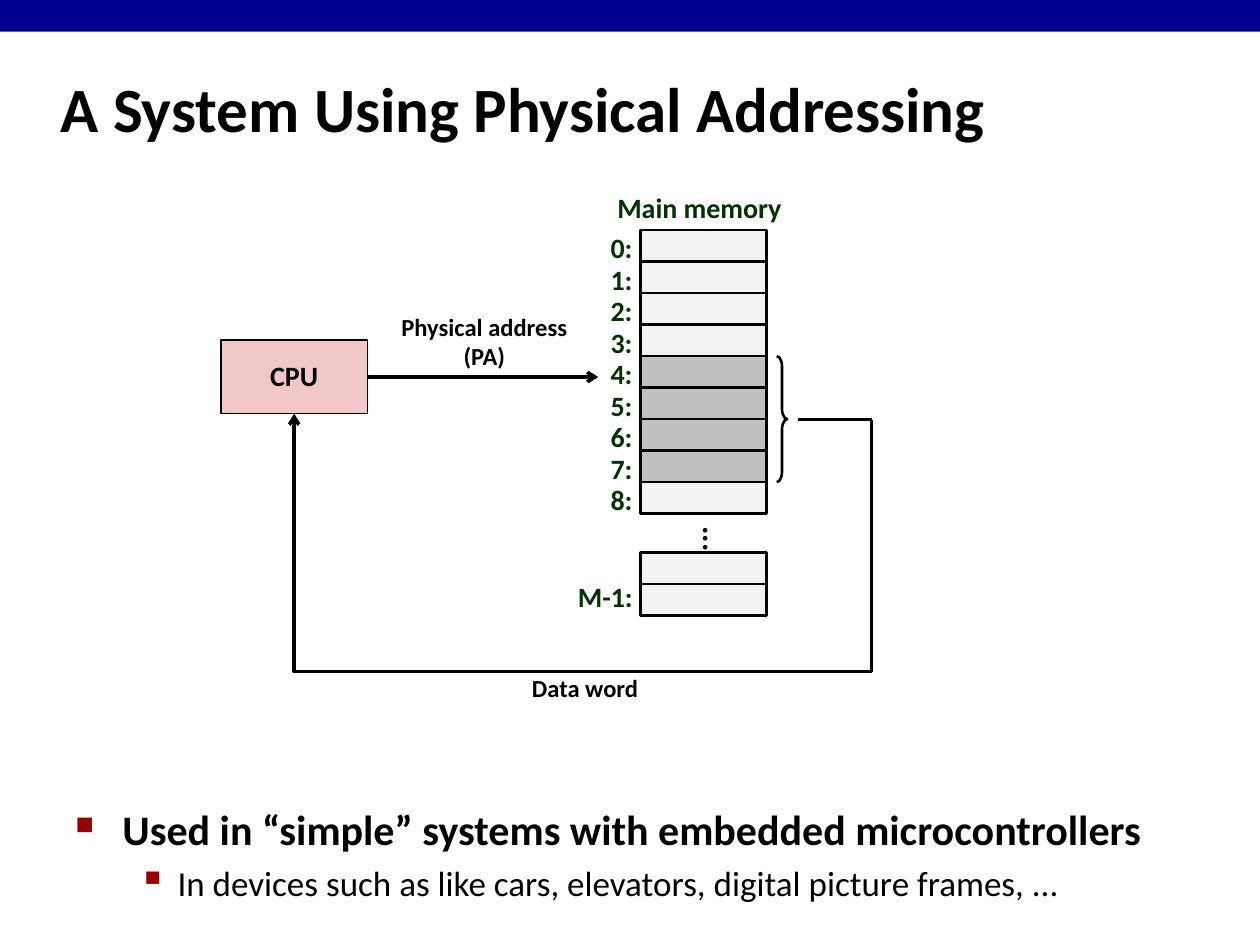
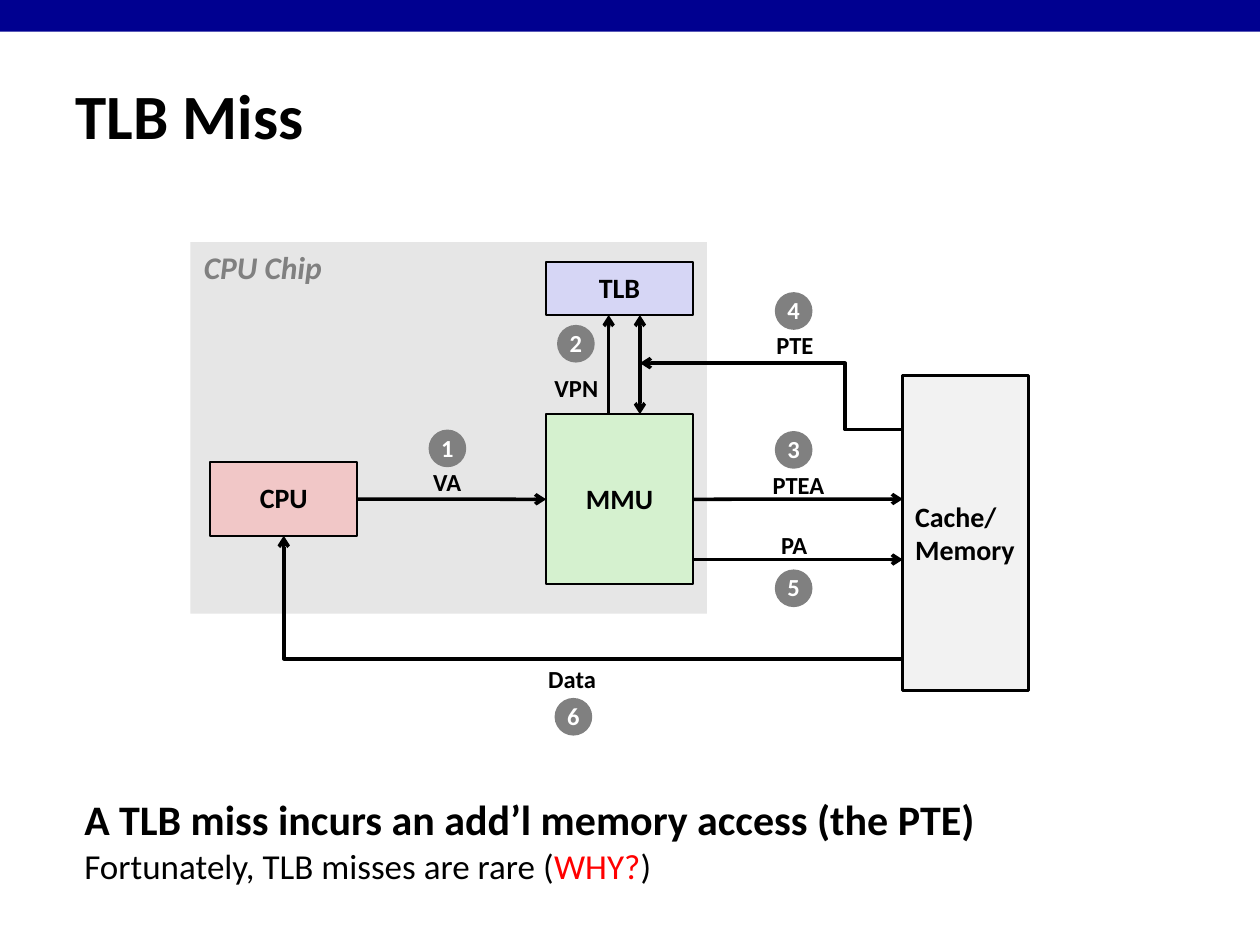
from dataclasses import dataclass
from typing import Any, Optional

from lxml import etree
from pptx import Presentation
from pptx.dml.color import RGBColor
from pptx.enum.shapes import MSO_CONNECTOR, MSO_SHAPE
from pptx.enum.text import MSO_ANCHOR, MSO_AUTO_SIZE, PP_ALIGN
from pptx.oxml.ns import qn
from pptx.util import Cm, Pt

RECT, OVAL, BRACE = MSO_SHAPE.RECTANGLE, MSO_SHAPE.OVAL, MSO_SHAPE.RIGHT_BRACE
STRAIGHT, ELBOW = MSO_CONNECTOR.STRAIGHT, MSO_CONNECTOR.ELBOW
LEFT, CENTER = PP_ALIGN.LEFT, PP_ALIGN.CENTER
TOP, MIDDLE = MSO_ANCHOR.TOP, MSO_ANCHOR.MIDDLE
FIT, FIXED = MSO_AUTO_SIZE.SHAPE_TO_FIT_TEXT, MSO_AUTO_SIZE.NONE
SIDE_LEFT, SIDE_RIGHT = 1, 3
TITLE_ONLY = 5

COLORS = {
    "band": "000090", "ink": "000000", "paper": "FFFFFF", "memory": "003300",
    "bullet": "990000", "cpu": "F1C7C7", "mmu": "D5F1CF", "tlb": "D6D6F5",
    "cell": "F2F2F2", "word": "C0C0C0", "chip": "E6E6E6", "step": "808080",
    "question": "FF0000",
}
FONT = "Calibri"
TITLE_FRAME = {"vertical_anchor": MIDDLE, "auto_size": FIXED, "word_wrap": True}
BODY_FRAME = {"vertical_anchor": TOP, "auto_size": FIXED, "word_wrap": True}
CELL_W, CELL_H = 2.54, 2.54 / 4
LABEL_H, STEP_SIZE = 0.84, 0.76
CPU_W, CPU_H = 2.96, 1.48


@dataclass(frozen=True)
class Box:
    left: float
    top: float
    width: float
    height: float
    fill: Optional[str] = None
    line: Optional[float] = None
    text: str = ""
    shape: Any = RECT
    size: int = 16
    color: str = "ink"
    spacing: float = 0.98
    align: Any = CENTER


@dataclass(frozen=True)
class Label:
    text: str
    left: float
    top: float
    width: float
    height: float = LABEL_H
    size: int = 14
    color: str = "ink"
    spacing: float = 0.98
    align: Any = CENTER
    anchor: Any = MIDDLE
    italic: bool = False
    vertical: bool = False


@dataclass(frozen=True)
class Arrow:
    x1: float
    y1: float
    x2: float
    y2: float
    head: bool = False
    tail: bool = True


def rgb(name: str) -> RGBColor:
    return RGBColor.from_string(COLORS[name])


def apply(target: Any, values: dict) -> None:
    for key, value in values.items():
        setattr(target, key, value)


def style(font: Any, size: int, color: str = "ink", bold: bool = True,
          italic: bool = False) -> None:
    apply(font, {"name": FONT, "size": Pt(size), "bold": bold, "italic": italic})
    font.color.rgb = rgb(color)


def place(shape: Any, left: float, top: float, width: float, height: float) -> None:
    apply(shape, {"left": Cm(left), "top": Cm(top),
                  "width": Cm(width), "height": Cm(height)})


def write(frame: Any, item: Any, values: dict) -> None:
    apply(frame, values)
    frame.text = item.text
    for paragraph in frame.paragraphs:
        apply(paragraph, {"alignment": item.align, "line_spacing": item.spacing})
        for run in paragraph.runs:
            style(run.font, item.size, item.color, italic=getattr(item, "italic", False))


def draw_box(slide: Any, box: Box) -> Any:
    shape = slide.shapes.add_shape(box.shape, Cm(box.left), Cm(box.top),
                                   Cm(box.width), Cm(box.height))
    shape.shadow.inherit = False
    if box.fill:
        shape.fill.solid()
        shape.fill.fore_color.rgb = rgb(box.fill)
    else:
        shape.fill.background()
    if box.line:
        shape.line.color.rgb = rgb("ink")
        shape.line.width = Pt(box.line)
    else:
        shape.line.fill.background()
    if box.text:
        write(shape.text_frame, box, {"vertical_anchor": MIDDLE, "word_wrap": False})
    return shape


def draw_label(slide: Any, label: Label) -> None:
    area = slide.shapes.add_textbox(Cm(label.left), Cm(label.top),
                                    Cm(label.width), Cm(label.height))
    fit = FIXED if label.vertical else FIT
    write(area.text_frame, label, {"vertical_anchor": label.anchor,
                                   "word_wrap": False, "auto_size": fit})
    if label.vertical:
        area.element.find(".//" + qn("a:bodyPr")).set("vert", "eaVert")


def finish_line(connector: Any, head: bool, tail: bool) -> None:
    connector.line.color.rgb = rgb("ink")
    connector.line.width = Pt(2)
    properties = connector.element.spPr
    outline = properties.find(qn("a:ln"))
    for tag, wanted in (("a:headEnd", head), ("a:tailEnd", tail)):
        if wanted:
            etree.SubElement(outline, qn(tag), type="arrow")
    etree.SubElement(properties, qn("a:effectLst"))


def draw_arrow(slide: Any, arrow: Arrow, start: Any = None, end: Any = None) -> None:
    connector = slide.shapes.add_connector(STRAIGHT, Cm(arrow.x1), Cm(arrow.y1),
                                           Cm(arrow.x2), Cm(arrow.y2))
    if start is not None:
        connector.begin_connect(start, SIDE_RIGHT)
    if end is not None:
        connector.end_connect(end, SIDE_LEFT)
    finish_line(connector, arrow.head, arrow.tail)


def draw_return(slide: Any, left: float, top: float, right: float, bottom: float,
                bend: float = 1) -> None:
    connector = slide.shapes.add_connector(ELBOW, Cm(left), Cm(top),
                                           Cm(right), Cm(bottom))
    properties = connector.element.spPr
    properties.find(qn("a:xfrm")).set("rot", "10800000")
    guides = properties.find(".//" + qn("a:avLst"))
    etree.SubElement(guides, qn("a:gd"), name="adj1", fmla=f"val {round(bend * 100000)}")
    finish_line(connector, head=False, tail=True)


def add_bullet(paragraph: Any, char: str, percent: int, margin: float, hang: float) -> None:
    paragraph.alignment = LEFT
    properties = paragraph.font and paragraph._p.get_or_add_pPr()
    for old in list(properties):
        properties.remove(old)
    apply_indent = {"marL": Cm(margin), "indent": -Cm(hang)}
    for key, value in apply_indent.items():
        properties.set(key, str(int(value)))
    tint = etree.SubElement(properties, qn("a:buClr"))
    etree.SubElement(tint, qn("a:srgbClr"), val=COLORS["bullet"])
    etree.SubElement(properties, qn("a:buSzPct"), val=str(percent * 1000))
    etree.SubElement(properties, qn("a:buChar"), char=char)


def add_titled_slide(prs: Any, title: str, left: float, top: float, width: float) -> Any:
    slide = prs.slides.add_slide(prs.slide_layouts[TITLE_ONLY])
    heading = slide.shapes.title
    place(heading, left, top, width, 2.18)
    apply(heading.text_frame, TITLE_FRAME)
    heading.text_frame.text = title
    paragraph = heading.text_frame.paragraphs[0]
    paragraph.alignment = LEFT
    style(paragraph.runs[0].font, 36)
    return slide


def add_body(slide: Any, left: float, top: float, width: float, height: float) -> Any:
    body = slide.shapes.add_textbox(Cm(left), Cm(top), Cm(width), Cm(height))
    apply(body.text_frame, BODY_FRAME)
    return body.text_frame


def add_run(paragraph: Any, text: str, size: int, color: str = "ink",
            bold: bool = False) -> None:
    run = paragraph.add_run()
    run.text = text
    style(run.font, size, color, bold)


def build_physical_addressing(prs: Any) -> Any:
    slide = add_titled_slide(prs, "A System Using Physical Addressing", 0.97, 1.07, 24.21)
    memory_left, memory_top, lower_top = 12.91, 4.64, 11.14
    word_rows = range(4, 8)
    for row in range(9):
        top = memory_top + row * CELL_H
        fill = "word" if row in word_rows else "cell"
        draw_box(slide, Box(memory_left, top, CELL_W, CELL_H, fill, 1.5))
        draw_label(slide, Label(f"{row}:", 12.06, top - 0.02, 0.94, size=16,
                                color="memory", spacing=0.88, align=LEFT, anchor=TOP))
    for row in range(2):
        draw_box(slide, Box(memory_left, lower_top + row * CELL_H, CELL_W, CELL_H,
                            "cell", 1.5))
    cpu = draw_box(slide, Box(4.45, 6.86, CPU_W, CPU_H, "cpu", 1, "CPU"))
    brace = draw_box(slide, Box(15.66, memory_top + 4 * CELL_H, 0.21, 4 * CELL_H,
                                line=1.5, shape=BRACE))
    brace.adjustments[0], brace.adjustments[1] = 1, 0.5
    for label in (
        Label("M-1:", 11.4, 11.64, 1.63, size=16, color="memory", spacing=0.88,
              align=LEFT, anchor=TOP),
        Label("Main memory", 12.17, 3.81, 3.86, size=16, color="memory",
              spacing=0.88, anchor=TOP),
        Label("Physical address\n(PA)", 7.82, 6.17, 3.89, 1.45),
        Label("Data word", 10.46, 13.46, 2.67),
        Label("...", 13.13, 10.36, CELL_W, CELL_H, size=18, vertical=True),
    ):
        draw_label(slide, label)
    draw_arrow(slide, Arrow(7.41, 7.6, 12.06, 7.6), start=cpu)
    draw_arrow(slide, Arrow(16.08, 8.46, 17.57, 8.46, tail=False))
    draw_arrow(slide, Arrow(17.57, 8.46, 17.57, 13.54, tail=False))
    draw_return(slide, 5.93, 8.34, 17.57, 13.54)

    body = add_body(slide, 1.27, 16.08, 23.09, 2.44)
    use, devices = body.paragraphs[0], body.add_paragraph()
    add_bullet(use, "■", 60, 0.95, 0.95)
    add_bullet(devices, "▪", 110, 2.06, 0.79)
    devices.space_before = Pt(4)
    add_run(use, "Used in “simple” systems with embedded microcontrollers", 24, bold=True)
    add_run(devices, "In devices such as like cars, elevators, digital picture frames, ...", 20)
    return slide


def build_tlb_miss(prs: Any) -> None:
    slide = add_titled_slide(prs, "TLB Miss", 1.27, 1.22, 23.5)
    draw_box(slide, Box(3.84, 4.88, 10.41, 7.49, "chip"))
    mmu = draw_box(slide, Box(11.01, 8.35, CPU_W, 3.43, "mmu", 1, "MMU"))
    cpu = draw_box(slide, Box(4.24, 9.32, CPU_W, CPU_H, "cpu", 1, "CPU"))
    draw_box(slide, Box(11.01, 5.28, CPU_W, 1.07, "tlb", 1, "TLB"))
    draw_box(slide, Box(18.2, 7.57, CELL_W, 6.35, "cell", 1.5, "Cache/\nMemory",
                        spacing=1.0, align=LEFT))
    for label in (
        Label("CPU Chip", 3.86, 4.88, 2.95, 1.02, size=18, color="step", spacing=1.0,
              align=LEFT, anchor=TOP, italic=True),
        Label("VA", 8.48, 9.32, 1.07),
        Label("VPN", 10.92, 7.42, 1.4),
        Label("PTEA", 15.32, 9.37, 1.55),
        Label("PTE", 15.39, 6.55, 1.27),
        Label("PA", 15.49, 10.59, 1.04),
        Label("Data", 10.8, 13.28, 1.47),
    ):
        draw_label(slide, label)

    draw_arrow(slide, Arrow(7.2, 10.06, 11.01, 10.06), start=cpu, end=mmu)
    draw_arrow(slide, Arrow(13.97, 10.06, 18.2, 10.06), start=mmu)
    draw_arrow(slide, Arrow(13.97, 11.28, 18.2, 11.28))
    draw_arrow(slide, Arrow(12.27, 8.35, 12.27, 6.35))
    draw_arrow(slide, Arrow(12.9, 6.35, 12.9, 8.35, head=True))
    draw_return(slide, 12.9, 7.32, 18.2, 8.66, bend=0.22)
    draw_return(slide, 5.72, 10.8, 18.2, 13.28)

    step_places = ((8.64, 8.66), (11.23, 6.55), (15.62, 8.69),
                   (15.62, 5.89), (15.62, 11.48), (11.18, 14.07))
    for number, (left, top) in enumerate(step_places, 1):
        draw_box(slide, Box(left, top, STEP_SIZE, STEP_SIZE, "step", text=str(number),
                            shape=OVAL, size=14, color="paper"))

    remark = add_body(slide, 1.45, 15.88, 21.41, 2.54).paragraphs[0]
    add_run(remark, "A TLB miss incurs an add’l memory access (the PTE)", 24, bold=True)
    remark.add_line_break()
    add_run(remark, "Fortunately, TLB misses are rare (", 20)
    add_run(remark, "WHY?", 20, "question")
    add_run(remark, ")", 20)


def main() -> None:
    prs = Presentation()
    prs.slide_width, prs.slide_height = Cm(25.4), Cm(19.05)
    first = build_physical_addressing(prs)
    build_tlb_miss(prs)
    band = draw_box(first, Box(0, 0, 25.4, 0.64, "band"))
    prs.slide_layouts[TITLE_ONLY].shapes.element.insert(2, band.element)
    prs.save("out.pptx")


if __name__ == "__main__":
    main()
